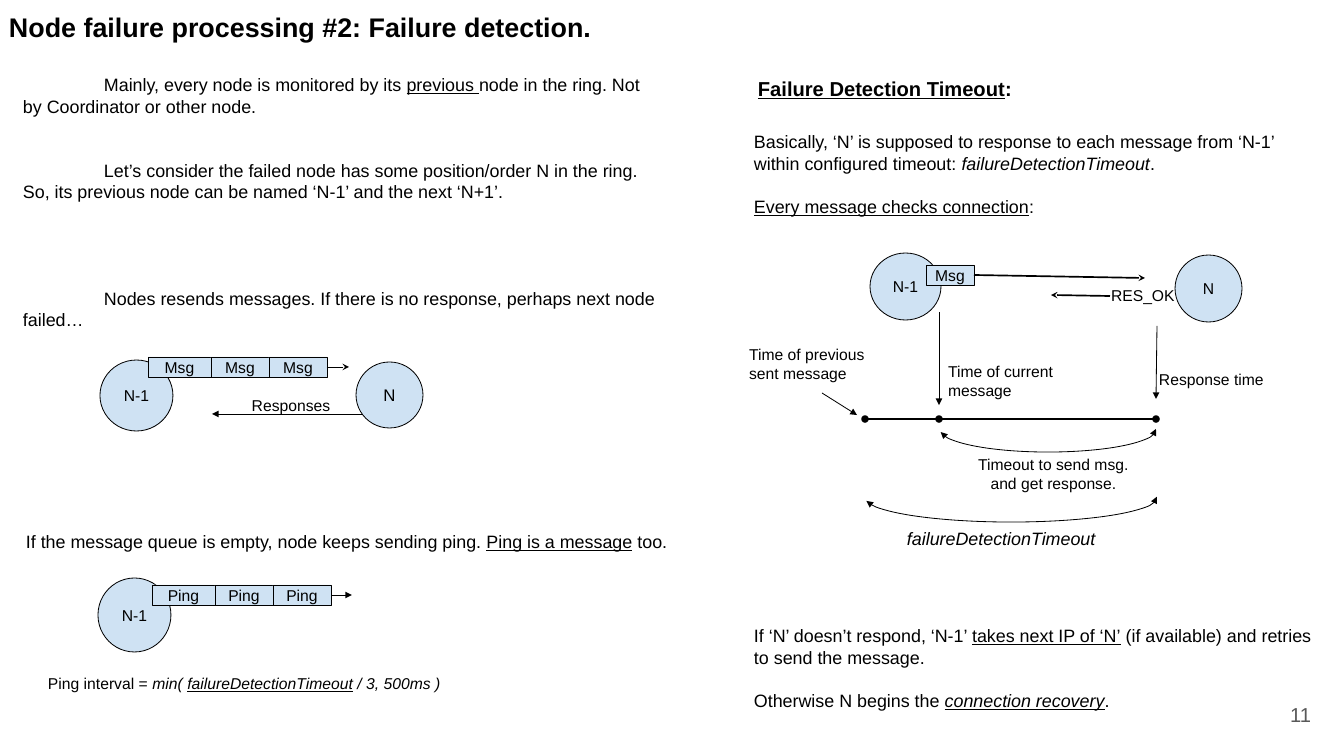
from lxml import etree
from pptx import Presentation
from pptx.dml.color import RGBColor
from pptx.enum.shapes import MSO_CONNECTOR, MSO_SHAPE
from pptx.enum.text import MSO_ANCHOR, PP_ALIGN
from pptx.oxml.ns import qn
from pptx.util import Pt

PX = 914400 / 80.6
LEFT, CENTER, RIGHT = PP_ALIGN.LEFT, PP_ALIGN.CENTER, PP_ALIGN.RIGHT
TOP, MIDDLE = MSO_ANCHOR.TOP, MSO_ANCHOR.MIDDLE
OVAL, RECT, ARC = MSO_SHAPE.OVAL, MSO_SHAPE.RECTANGLE, MSO_SHAPE.ARC
STRAIGHT = MSO_CONNECTOR.STRAIGHT
FONT = "Arial"
COLORS = {"ink": "000000", "node": "CFE2F3", "number": "595959"}


def px(n):
    """Turn pixels into EMU."""
    return round(n * PX)


def rgb(name):
    """Look up a named colour."""
    return RGBColor.from_string(COLORS[name])


def write(tf, paras, size, align=LEFT, anchor=TOP, inset=8, color="ink", gaps=(), indent=0):
    """Fill a text frame with paragraphs of (text, style letters) runs."""
    tf.word_wrap = True
    tf.vertical_anchor = anchor
    tf.margin_left = tf.margin_right = tf.margin_top = tf.margin_bottom = px(inset)
    for i, runs in enumerate(paras):
        p = tf.add_paragraph() if i else tf.paragraphs[0]
        p.alignment = align
        p.space_before = Pt(gaps[i - 1] if i and gaps else 0)
        if indent:
            p._p.get_or_add_pPr().set("indent", str(px(indent)))
        for text, style in runs:
            r = p.add_run()
            r.text = text
            f = r.font
            f.name, f.size, f.color.rgb = FONT, Pt(size), rgb(color)
            f.bold, f.italic, f.underline = "b" in style, "i" in style, "u" in style


def add_text(s, box, paras, size=14, **kw):
    """Add a text box."""
    write(s.shapes.add_textbox(*map(px, box)).text_frame, paras, size, **kw)


def set_line(sp, width, head=None, tail=None):
    """Format an outline and its arrowheads."""
    sp.line.color.rgb = rgb("ink")
    sp.line.width = Pt(width)
    ln = sp.line._get_or_add_ln()
    for tag, kind in (("a:headEnd", head), ("a:tailEnd", tail)):
        if kind:
            etree.SubElement(ln, qn(tag), type=kind)


def add_node(s, kind, box, label, size=14):
    """Add a labelled circle or message box."""
    sp = s.shapes.add_shape(kind, *map(px, box))
    sp.shadow.inherit = False
    sp.fill.solid()
    sp.fill.fore_color.rgb = rgb("node")
    set_line(sp, 0.75)
    write(sp.text_frame, [[(label, "")]], size, align=CENTER, anchor=MIDDLE, inset=0)


def add_arrow(s, x1, y1, x2, y2, width=0.75, head=None, tail="triangle"):
    """Add a straight line with optional ends."""
    sp = s.shapes.add_connector(STRAIGHT, px(x1), px(y1), px(x2), px(y2))
    set_line(sp, width, head, tail)
    etree.SubElement(sp._element.spPr, qn("a:effectLst"))


def add_span(s, *box):
    """Add a double-headed arc that hangs below the timeline."""
    sp = s.shapes.add_shape(ARC, *map(px, box))
    sp.shadow.inherit = False
    sp.fill.background()
    sp.rotation = 180
    sp.adjustments[0], sp.adjustments[1] = 107.8, 215.2
    set_line(sp, 0.75, "triangle", "triangle")


def add_title(s, x, y, w, h):
    """Place the slide title."""
    sp = s.shapes.title
    sp.left, sp.top, sp.width, sp.height = map(px, (x, y, w, h))
    write(sp.text_frame, [[("Node failure processing #2: Failure detection.", "b")]], 24, inset=12)


def add_queue(s, x, y, circle, label, tip, tail):
    """Draw a node sending a queue of three messages."""
    dx, dy, w, h = circle
    add_node(s, OVAL, (x + dx, y + dy, w, h), "N-1")
    for left, width in ((0, 63), (63, 58), (121, 58)):
        add_node(s, RECT, (x + left, y, width, 20), label)
    add_arrow(s, x + 179, y + 10, x + tip, y + 10, tail=tail)


def add_resend(s, x, y):
    """Draw messages going to N and responses coming back."""
    add_arrow(s, x + 267, y + 57, x + 112, y + 57)
    add_queue(s, x + 48, y, (-48, 3, 73, 71), "Msg", 201, "stealth")
    add_node(s, OVAL, (x + 256, y + 5, 67, 66), "N", 15)
    add_text(s, (x + 136, y + 37, 110, 23), [[("Responses", "")]], align=CENTER, anchor=MIDDLE)


def add_monitoring(s, x, y):
    """Build the left column on monitoring and pings."""
    add_text(s, (x, y, 654, 263), [
        [("Mainly, every node is monitored by its ", ""), ("previous ", "u"),
         ("node in the ring. Not by Coordinator or other node.", "")],
        [("Let’s consider the failed node has some position/order N in the ring. So, its "
          "previous node can be named ‘N-1’ and the next ‘N+1’.", "")],
        [("Nodes resends messages. If there is no response, perhaps next node failed…", "")],
    ], 16, gaps=(38, 76), indent=81)
    add_resend(s, x + 85, y + 291)
    add_text(s, (x + 3, y + 457, 671, 38), [
        [("If the message queue is empty, node keeps sending ping. ", ""),
         ("Ping is a message", "u"), (" too.", "")]], 16)
    add_queue(s, x + 137, y + 519, (-54, -7, 73, 74), "Ping", 200, "triangle")
    add_text(s, (x + 25, y + 600, 567, 48), [
        [("Ping interval = ", ""), ("min( ", "i"), ("failureDetectionTimeout", "iu"),
         (" / 3, 500ms )", "i")]])


def add_timeline(s, x, y):
    """Draw the message exchange above its timeline."""
    add_node(s, OVAL, (x + 129, y, 71, 67), "N-1")
    add_node(s, RECT, (x + 185, y + 12, 48, 20), "Msg")
    add_node(s, OVAL, (x + 434, y + 2, 67, 67), "N")
    for x1, y1, x2, y2, width, head, tail in (
        (233, 22, 404, 25, 1.5, None, "stealth"),
        (369, 43, 310, 42, 1.5, None, "stealth"),
        (81, 140, 116, 162, 0.75, None, "triangle"),
        (198, 59, 198, 152, 0.75, None, "triangle"),
        (416, 73, 415, 146, 0.75, None, "triangle"),
        (198, 166, 415, 166, 2.25, "oval", "oval"),
        (124, 166, 413, 166, 2.25, "oval", None),
    ):
        add_arrow(s, x + x1, y + y1, x + x2, y + y2, width, head, tail)
    add_span(s, x + 199, y + 154, 216, 45)
    add_span(s, x + 124, y + 220, 292, 49)
    for dx, dy, w, h, lines, align in (
        (0, 84, 154, 44, ("Time of previous", "sent message"), LEFT),
        (199, 101, 122, 44, ("Time of current message",), LEFT),
        (410, 109, 133, 38, ("Response time",), LEFT),
        (362, 25, 85, 31, ("RES_OK",), LEFT),
        (206, 194, 213, 52, ("Timeout to send msg.", "and get response."), CENTER),
    ):
        add_text(s, (x + dx, y + dy, w, h), [[(t, "")] for t in lines], align=align)
    add_text(s, (x + 158, y + 267, 231, 27), [[("failureDetectionTimeout", "i")]], 16)


def add_timeout(s, x, y):
    """Build the right column on the failure detection timeout."""
    add_text(s, (x + 9, y, 431, 42), [[("Failure Detection Timeout", "bu"), (":", "b")]], 18)
    add_text(s, (x + 5, y + 55, 539, 112), [
        [("Basically, ‘N’ is supposed to response to each message from ‘N-1’ within "
          "configured timeout: ", ""), ("failureDetectionTimeout", "i"), (".", "")],
        [("Every message checks connection", "u"), (":", "")],
    ], 16, gaps=(19,))
    add_timeline(s, x, y + 185)
    add_text(s, (x + 5, y + 549, 587, 99), [
        [("If ‘N’ doesn’t respond, ‘N-1’ ", ""), ("takes next IP of ‘N’", "u"),
         (" (if available) and retries to send the message.", "")],
        [("Otherwise N begins the ", ""), ("connection recovery", "iu"), (".", "")],
    ], 16, gaps=(19,))


def main():
    """Build and save the slide."""
    prs = Presentation()
    prs.slide_width, prs.slide_height = px(1344), px(756)
    s = prs.slides.add_slide(prs.slide_layouts[5])
    add_title(s, -3, -1, 1007, 48)
    add_monitoring(s, 15, 66)
    add_timeout(s, 741, 68)
    add_text(s, (1244, 685, 81, 58), [[("11", "")]], 18, align=RIGHT, anchor=MIDDLE,
             inset=14, color="number")
    prs.save("out.pptx")


main()
